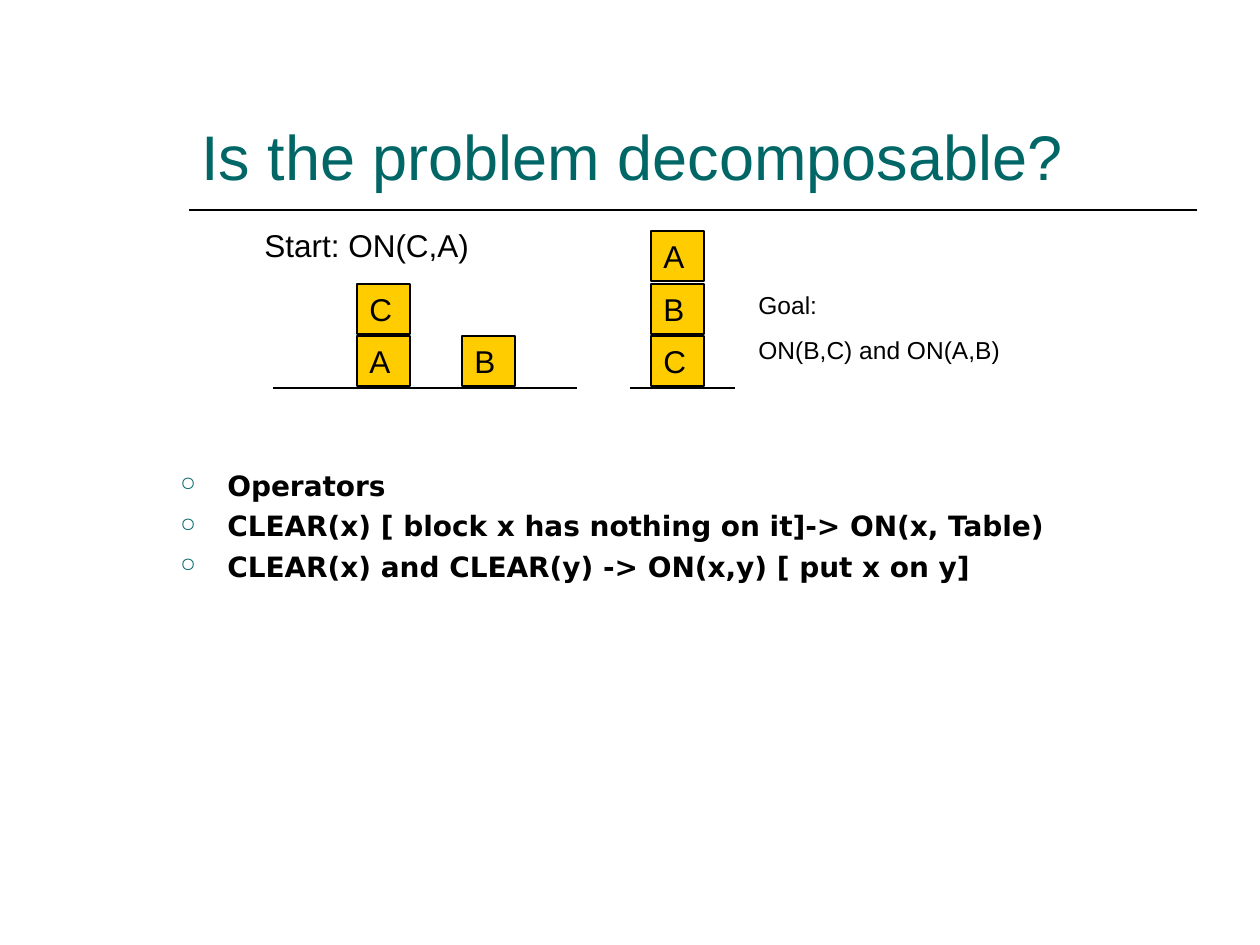
from dataclasses import dataclass

from lxml import etree
from pptx import Presentation
from pptx.dml.color import RGBColor
from pptx.enum.shapes import MSO_CONNECTOR, MSO_SHAPE
from pptx.enum.text import MSO_ANCHOR, PP_ALIGN
from pptx.oxml.ns import qn
from pptx.util import Emu, Pt

RECTANGLE = MSO_SHAPE.RECTANGLE
STRAIGHT = MSO_CONNECTOR.STRAIGHT
TOP, BOTTOM = MSO_ANCHOR.TOP, MSO_ANCHOR.BOTTOM
LEFT = PP_ALIGN.LEFT


@dataclass(frozen=True)
class Theme:
    teal: str = "006666"
    ink: str = "000000"
    block: str = "FFCC00"
    sans: str = "Arial"
    body_font: str = "DejaVu Sans"
    title_size: int = 36
    label_size: int = 18
    body_size: int = 16
    goal_size: int = 14
    thin: float = 0.75
    rule: float = 1


THEME = Theme()

# Content
TITLE = "Is the problem decomposable?"
START = "Start: ON(C,A)"
GOAL = ["Goal:", "ON(B,C) and ON(A,B)"]
OPERATORS = [
    "Operators",
    "CLEAR(x) [ block x has nothing on it]-> ON(x, Table)",
    "CLEAR(x) and CLEAR(y) -> ON(x,y) [ put x on y]",
]
STACKS = [(357, "AC"), (462, "B"), (651, "CBA")]  # left, blocks from the table up
TABLES = [(273, 577), (630, 735)]  # left and right ends

# Geometry in px, 126 to the inch
PX = 914400 / 126
SLIDE = (1260, 945)
TITLE_BOX = (189, 42, 1008, 157)
BODY_BOX = (168, 462, 935, 567)
START_BOX = (252, 220, 231, 51)
GOAL_BOX = (746, 284, 336, 87)
RULE = (189, 1197, 210)  # left, right, y
BLOCK_WIDTH, BLOCK_HEIGHT = 53, 50
LOWEST_TOP = 336
TWO_LEVELS = 105
TABLE_Y = 388
BULLET_INDENT = 47


def emu(px):
    return Emu(round(px * PX))


def color(value):
    return RGBColor.from_string(value)


def write(box, lines, size, ink=THEME.ink, font=THEME.sans, bold=False,
          before=0, anchor=TOP):
    frame = box.text_frame
    frame.word_wrap = True
    frame.vertical_anchor = anchor
    frame.text = "\n".join(lines)
    for para in frame.paragraphs:
        para.alignment = LEFT
        para.space_before = Pt(before)
        para.font.size = Pt(size)
        para.font.name = font
        para.font.bold = bold
        para.font.color.rgb = color(ink)
    return frame


def add_text(page, place, lines, size, **style):
    box = page.shapes.add_textbox(*map(emu, place))
    return write(box, lines, size, **style)


def add_line(page, left, right, y, weight):
    line = page.shapes.add_connector(STRAIGHT, emu(left), emu(y), emu(right), emu(y))
    line.line.color.rgb = color(THEME.ink)
    line.line.width = Pt(weight)
    etree.SubElement(line._element.spPr, qn("a:effectLst"))


def add_block(page, left, top, letter):
    block = page.shapes.add_shape(
        RECTANGLE, *map(emu, (left, top, BLOCK_WIDTH, BLOCK_HEIGHT)))
    block.shadow.inherit = False
    block.fill.solid()
    block.fill.fore_color.rgb = color(THEME.block)
    block.line.color.rgb = color(THEME.ink)
    block.line.width = Pt(THEME.thin)
    write(block, [letter], THEME.label_size, before=11.2)


def add_bullet(para):
    properties = para._p.get_or_add_pPr()
    properties.set("marL", str(emu(BULLET_INDENT)))
    properties.set("indent", str(-emu(BULLET_INDENT)))
    tint = etree.SubElement(properties, qn("a:buClr"))
    etree.SubElement(tint, qn("a:srgbClr"), val=THEME.teal)
    etree.SubElement(properties, qn("a:buSzPct"), val="70000")
    etree.SubElement(properties, qn("a:buChar"), char="○")
    # Bullet settings come before the default run properties
    properties.append(properties.find(qn("a:defRPr")))


def main():
    deck = Presentation()
    deck.slide_width, deck.slide_height = map(emu, SLIDE)
    page = deck.slides.add_slide(deck.slide_layouts[6])

    # Title and rule
    add_line(page, *RULE, THEME.rule)
    add_text(page, TITLE_BOX, [TITLE], THEME.title_size, ink=THEME.teal, anchor=BOTTOM)

    # Operators
    body = add_text(page, BODY_BOX, OPERATORS, THEME.body_size,
                    font=THEME.body_font, bold=True, before=4)
    for para in body.paragraphs:
        add_bullet(para)

    # Blocks on their tables
    for left, letters in STACKS:
        for level, letter in enumerate(letters):
            add_block(page, left, LOWEST_TOP - level * TWO_LEVELS // 2, letter)
    for left, right in TABLES:
        add_line(page, left, right, TABLE_Y, THEME.thin)

    # State labels
    add_text(page, START_BOX, [START], THEME.label_size, before=11.2)
    add_text(page, GOAL_BOX, GOAL, THEME.goal_size, before=8.8)

    deck.save("out.pptx")


if __name__ == "__main__":
    main()
